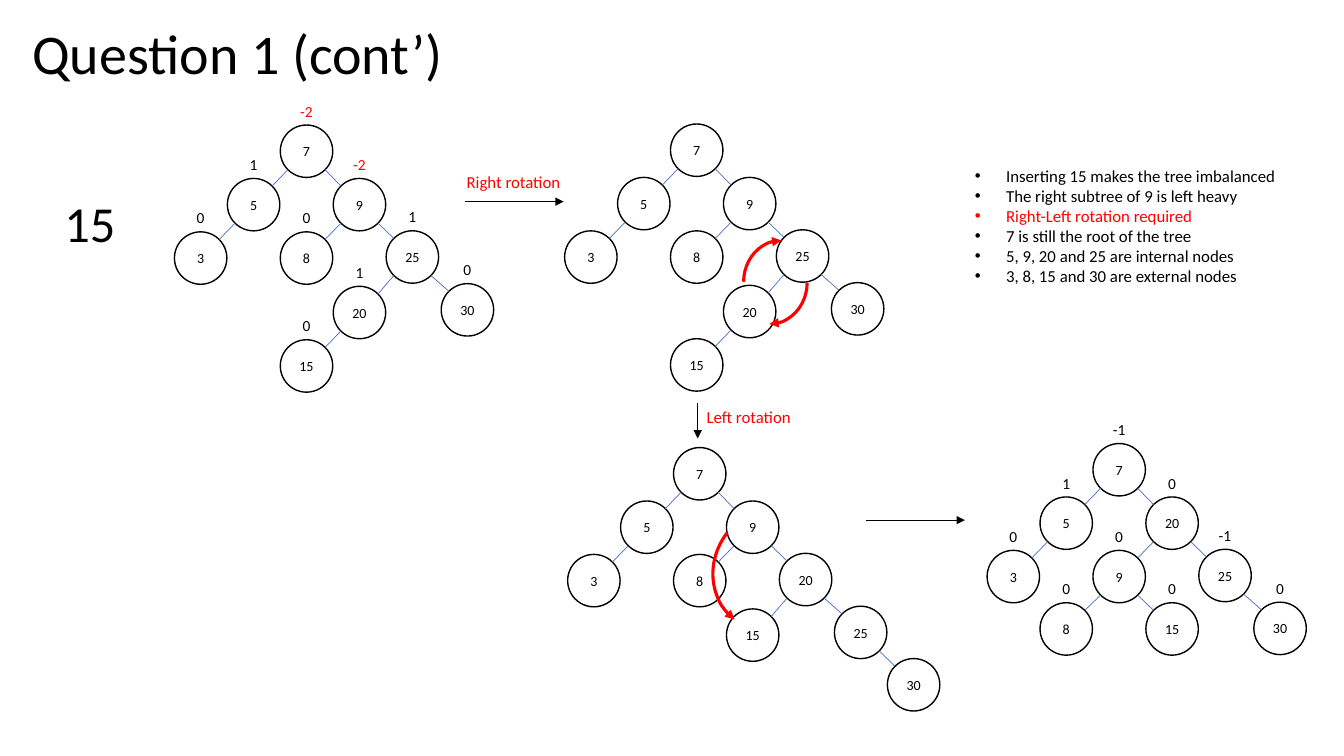
"""Build the slide that shows the tree rotations after inserting 15."""
import math

from lxml import etree
from pptx import Presentation
from pptx.dml.color import RGBColor
from pptx.enum import shapes, text
from pptx.oxml.ns import qn
from pptx.util import Inches, Pt

BLACK = RGBColor(0x00, 0x00, 0x00)
RED = RGBColor(0xFF, 0x00, 0x00)
BLUE = RGBColor(0x44, 0x72, 0xC4)
FONT = "Calibri"
NODE = 0.52
COL_STEP, ROW_STEP = 0.525, 0.53
LABEL_W, LABEL_H, LABEL_RISE = 0.43, 0.29, 0.28

# Each node: value, column, row, parent, balance factor
TOP_ROWS = [("7", 0, 0, None, "-2"), ("5", -1, 1, "7", "1"), ("9", 1, 1, "7", "-2"),
            ("3", -2, 2, "5", "0"), ("8", 0, 2, "9", "0"), ("25", 2, 1.98, "9", "1"),
            ("30", 3.04, 2.97, "25", "0"), ("20", 1, 3.02, "25", "1"),
            ("15", 0, 4.02, "20", "0")]
BEFORE_LEFT = [("7", 0, 0, None, ""), ("5", -1, 1, "7", ""), ("9", 1, 1, "7", ""),
               ("3", -2, 2, "5", ""), ("8", 0, 2, "9", ""), ("20", 2, 1.98, "9", ""),
               ("25", 3.04, 2.97, "20", ""), ("15", 1, 3.02, "20", ""),
               ("30", 4.04, 3.95, "25", "")]
BALANCED = [("7", 0, 0, None, "-1"), ("5", -1, 1, "7", "1"), ("20", 1, 1, "7", "0"),
            ("3", -2, 2, "5", "0"), ("9", 0, 2, "20", "0"), ("25", 2, 1.98, "20", "-1"),
            ("30", 3.04, 2.97, "25", "0"), ("8", -1, 2.98, "9", "0"),
            ("15", 1, 2.98, "9", "0")]
NOTES = ["Inserting 15 makes the tree imbalanced",
         "The right subtree of 9 is left heavy",
         "Right-Left rotation required",
         "7 is still the root of the tree",
         "5, 9, 20 and 25 are internal nodes",
         "3, 8, 15 and 30 are external nodes"]


def format_paragraph(p, size, color, align=text.PP_ALIGN.LEFT):
    p.alignment = align
    for r in p.runs:
        r.font.name, r.font.size = FONT, Pt(size)
        r.font.color.rgb = color


def add_text(s, box, words, size, color=BLACK, align=text.PP_ALIGN.LEFT, wrap=True):
    tf = s.shapes.add_textbox(*map(Inches, box)).text_frame
    tf.text = words
    tf.word_wrap = wrap
    tf.auto_size = text.MSO_AUTO_SIZE.SHAPE_TO_FIT_TEXT
    for p in tf.paragraphs:
        format_paragraph(p, size, color, align)
    return tf


def add_arrowhead(shape):
    etree.SubElement(shape.line._get_or_add_ln(), qn("a:tailEnd"), type="triangle")


def add_line(s, start, end, color, arrow=False):
    cx = s.shapes.add_connector(shapes.MSO_CONNECTOR.STRAIGHT,
                                *map(Inches, (*start, *end)))
    cx.line.color.rgb = color
    cx.line.width = Pt(0.5)
    etree.SubElement(cx._element.spPr, qn("a:effectLst"))
    if arrow:
        add_arrowhead(cx)


def add_outline(s, kind, box, color, width):
    sp = s.shapes.add_shape(kind, *map(Inches, box))
    sp.shadow.inherit = False
    sp.fill.background()
    sp.line.color.rgb = color
    sp.line.width = Pt(width)
    return sp


def add_node(s, x, y, value):
    sp = add_outline(s, shapes.MSO_SHAPE.OVAL, (x, y, NODE, NODE), BLACK, 1)
    tf = sp.text_frame
    tf.text = value
    tf.margin_left = tf.margin_right = 0
    tf.vertical_anchor = text.MSO_ANCHOR.MIDDLE
    format_paragraph(tf.paragraphs[0], 10, BLACK, text.PP_ALIGN.CENTER)


def add_edge(s, parent, child):
    """Join the facing diagonal points of two circles."""
    half = NODE / 2
    reach = half * math.sqrt(0.5)
    side = math.copysign(reach, child[0] - parent[0])
    add_line(s, (parent[0] + half + side, parent[1] + half + reach),
             (child[0] + half - side, child[1] + half - reach), BLUE)


def add_tree(s, left, top, nodes):
    places = {}
    for value, col, row, parent, balance in nodes:
        x, y = places[value] = left + col * COL_STEP, top + row * ROW_STEP
        add_node(s, x, y, value)
        if parent:
            add_edge(s, places[parent], (x, y))
        if balance:
            add_text(s, (x + (NODE - LABEL_W) / 2, y - LABEL_RISE, LABEL_W, LABEL_H),
                     balance, 11, RED if balance == "-2" else BLACK,
                     text.PP_ALIGN.CENTER)


def add_rotation_arc(s, box, angle, flip=False):
    sp = add_outline(s, shapes.MSO_SHAPE.ARC, box, RED, 2.25)
    sp.rotation = angle
    if flip:
        sp._element.spPr.find(qn("a:xfrm")).set("flipH", "1")
    add_arrowhead(sp)


def add_notes_list(s):
    tf = add_text(s, (9.57, 1.59, 3.22, 1.31), "\n".join(NOTES), 12, wrap=False)
    for p in tf.paragraphs:
        pPr = p._p.get_or_add_pPr()
        pPr.set("marL", str(Inches(0.31)))
        pPr.set("indent", str(Inches(-0.31)))
        etree.SubElement(pPr, qn("a:buFont"), typeface="Arial")
        etree.SubElement(pPr, qn("a:buChar"), char="•")
    format_paragraph(tf.paragraphs[2], 12, RED)


def add_title(s):
    sp = s.shapes.title
    sp.left, sp.top, sp.width, sp.height = map(Inches, (0.22, 0.13, 4.97, 0.77))
    tf = sp.text_frame
    tf.text = "Question 1 (cont’)"
    tf.word_wrap = True
    tf.auto_size = text.MSO_AUTO_SIZE.SHAPE_TO_FIT_TEXT
    tf.vertical_anchor = text.MSO_ANCHOR.TOP
    format_paragraph(tf.paragraphs[0], 40, BLACK)


def main():
    prs = Presentation()
    prs.slide_width, prs.slide_height = Inches(13.33), Inches(7.5)
    s = prs.slides.add_slide(prs.slide_layouts[5])
    add_title(s)

    add_tree(s, 2.78, 1.24, TOP_ROWS)
    add_tree(s, 6.65, 1.23, [(*node[:4], "") for node in TOP_ROWS])
    add_rotation_arc(s, (7.34, 2.42, 0.82, 0.75), 270)
    add_rotation_arc(s, (7.22, 2.43, 0.82, 0.75), 90)
    add_tree(s, 6.68, 4.44, BEFORE_LEFT)
    add_rotation_arc(s, (7.04, 5.06, 1.27, 1.17), 307.8, flip=True)
    add_tree(s, 10.84, 4.4, BALANCED)

    add_text(s, (0.54, 1.86, 1.7, 0.71), "15", 36)
    add_text(s, (4.53, 1.65, 1.14, 0.3), "Right rotation", 12, RED, wrap=False)
    add_text(s, (6.91, 3.99, 1.05, 0.3), "Left rotation", 12, RED, wrap=False)
    add_notes_list(s)
    for start, end in [((4.61, 2), (5.59, 2)), ((6.92, 4), (6.92, 4.35)),
                       ((8.59, 5.16), (9.57, 5.16))]:
        add_line(s, start, end, BLACK, arrow=True)
    prs.save("out.pptx")


if __name__ == "__main__":
    main()
